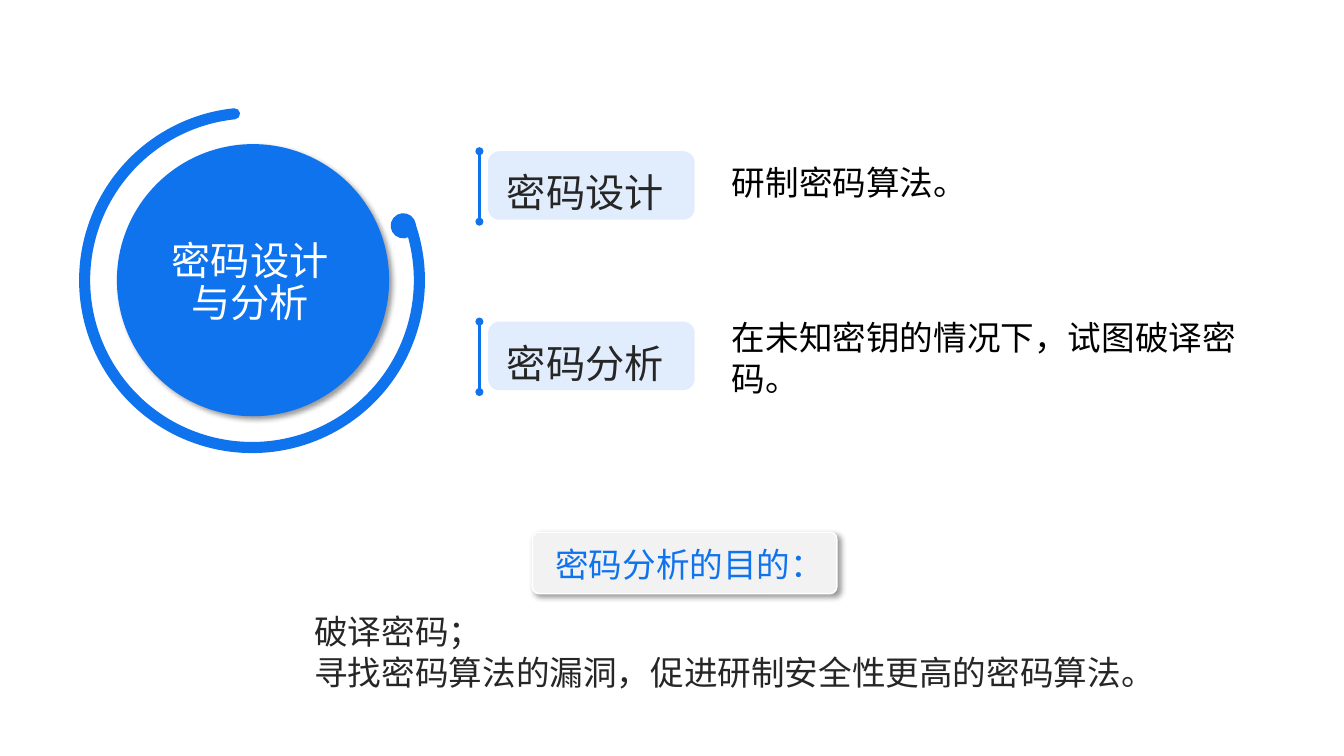
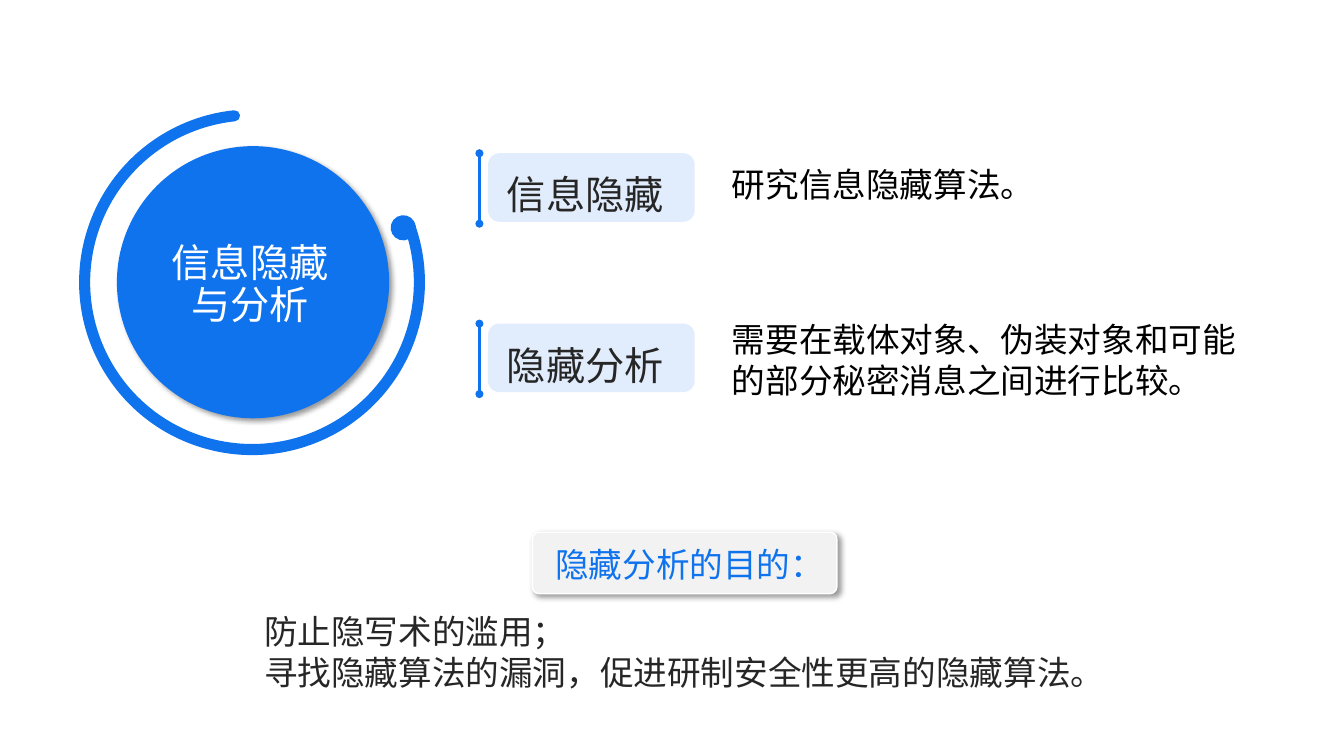
from math import cos, radians, sin, tan

from lxml.etree import SubElement
from pptx import Presentation
from pptx.dml.color import RGBColor
from pptx.enum.shapes import MSO_SHAPE as SHAPE
from pptx.enum.text import PP_ALIGN as ALIGN
from pptx.oxml.ns import qn
from pptx.util import Inches, Pt

COLORS = {
    "accent": "0F73EE",
    "panel": "F2F2F2",
    "white": "FFFFFF",
    "ink": "262626",
    "black": "000000",
}
SANS = "Noto Sans CJK SC"
SERIF = "Times New Roman"
ROW_PITCH = 1.69

TOPICS = [
    {
        "title": "密码设计与分析",
        "top": 1.43,
        "rows": [
            ("密码设计", [("研制密码算法。", SERIF)]),
            ("密码分析", [("在未知密钥的情况下，试图破译密码", SANS), ("。", SERIF)]),
        ],
        "purpose": "密码分析的目的：",
        "goals": ["破译密码；", "寻找密码算法的漏洞，促进研制安全性更高的密码算法。"],
        "goals_width": 9.46,
        "goals_level": 1,
    },
    {
        "title": "信息隐藏与分析",
        "top": 1.45,
        "rows": [
            ("信息隐藏", [("研究信息隐藏算法。", SANS)]),
            ("隐藏分析", [("需要在载体对象、伪装对象和可能的部分秘密消息之间进行比较。", SANS)]),
        ],
        "purpose": "隐藏分析的目的：",
        "goals": ["防止隐写术的滥用；", "寻找隐藏算法的漏洞，促进研制安全性更高的隐藏算法。"],
        "goals_width": 8.62,
        "goals_level": 0,
    },
]


def rgb(name):
    return RGBColor.from_string(COLORS[name])


def paint(shape, fill, line=None, alpha=None):
    shape.shadow.inherit = False
    shape.fill.solid()
    shape.fill.fore_color.rgb = rgb(fill)
    if alpha:
        color = shape.fill._xPr.find(qn("a:solidFill"))[0]
        SubElement(color, qn("a:alpha"), val=str(alpha * 1000))
    if line:
        shape.line.color.rgb = rgb(line)
        shape.line.width = Pt(1)
    else:
        shape.line.fill.background()


def add_block(slide, preset, left, top, width, height, fill, **style):
    block = slide.shapes.add_shape(
        preset, Inches(left), Inches(top), Inches(width), Inches(height))
    paint(block, fill, **style)
    return block


def cast_shadow(shape):
    effects = shape._element.spPr.find(qn("a:effectLst"))
    shadow = SubElement(
        effects, qn("a:outerShdw"), blurRad=str(Pt(4)), dist=str(Pt(3)),
        dir=str(45 * 60000), algn="tl", rotWithShape="0")
    color = SubElement(shadow, qn("a:srgbClr"), val=COLORS["black"])
    SubElement(color, qn("a:alpha"), val="40000")


def add_text(slide, left, top, width, height, paragraphs, size, color,
             leading, align=ALIGN.LEFT, level=0):
    box = slide.shapes.add_textbox(
        Inches(left), Inches(top), Inches(width), Inches(height))
    frame = box.text_frame
    frame.word_wrap = True
    for index, pieces in enumerate(paragraphs):
        paragraph = frame.add_paragraph() if index else frame.paragraphs[0]
        paragraph.alignment = align
        paragraph.level = level
        paragraph.line_spacing = Pt(leading)
        for text, font in pieces:
            run = paragraph.add_run()
            run.text = text
            run.font.name = font
            run.font.size = Pt(size)
            run.font.color.rgb = rgb(color)
            SubElement(run.font._element, qn("a:ea"), typeface=SANS)


def polar(x, y, radius, angle):
    return x + radius * cos(radians(angle)), y + radius * sin(radians(angle))


def arc(x, y, radius, angles):
    curve = []
    for start, end in zip(angles, angles[1:]):
        reach = radius * 4 / 3 * tan(radians(end - start) / 4)
        first, last = polar(x, y, radius, start), polar(x, y, radius, end)
        curve += [polar(*first, reach, start + 90), polar(*last, reach, end - 90), last]
    return curve


def add_curve(slide, start, curve):
    points = [(Inches(x), Inches(y)) for x, y in [start] + curve]
    builder = slide.shapes.build_freeform(*points[0])
    builder.add_line_segments(points[1:], close=True)
    shape = builder.convert_to_shape()
    outline = shape._element.spPr.find(".//" + qn("a:path"))
    steps = outline.findall(qn("a:lnTo"))
    close = outline.find(qn("a:close"))
    for index in range(0, len(curve), 3):
        bezier = SubElement(outline, qn("a:cubicBezTo"))
        for step in steps[index:index + 3]:
            bezier.append(step[0])
            outline.remove(step)
    outline.append(close)
    paint(shape, "accent")


def add_open_ring(slide, x, y, radius, width, angles):
    half = width / 2
    head, tail = angles[0], angles[-1]
    curve = (arc(x, y, radius + half, angles)
             + arc(*polar(x, y, radius, tail), half, [tail, tail + 90, tail + 180])
             + arc(x, y, radius - half, angles[::-1])
             + arc(*polar(x, y, radius, head), half, [head + 180, head + 270, head + 360]))
    add_curve(slide, polar(x, y, radius + half, head), curve)


def add_topic_circle(slide, title, top):
    disc = add_block(slide, SHAPE.OVAL, 1.16, top, 2.7, 2.7, "accent")
    cast_shadow(disc)
    add_text(slide, 1.44, top + 0.92, 2.08, 1.71, [[(title, SANS)]],
             28, "white", 30, ALIGN.CENTER)
    add_open_ring(slide, 2.5, top + 1.35, 1.66, 0.11, [-20, 20, 106, 196, 253, 264])
    knob = 4, top + 0.81, 0.125
    add_curve(slide, polar(*knob, 151), arc(*knob, [151, 241, 331, 421, 511]))


def add_pin(slide, x, top, height):
    upper, lower = (x, top, 0.04), (x, top + height, 0.04)
    curve = (arc(*upper, [-90, 0, 70])
             + [polar(*lower, -70)] * 3
             + arc(*lower, [-70, 0, 90, 180, 250])
             + [polar(*upper, 110)] * 3
             + arc(*upper, [110, 180, 270]))
    add_curve(slide, polar(*upper, -90), curve)


def add_row(slide, top, label, description, description_top):
    add_block(slide, SHAPE.ROUNDED_RECTANGLE, 4.84, top, 2.05, 0.68, "accent", alpha=12)
    add_pin(slide, 4.755, top, 0.7)
    add_text(slide, 4.93, top - 0.09, 1.8, 0.75, [[(label, SANS)]], 28, "ink", 49)
    add_text(slide, 6.66, description_top, 5.88, 0.91, [description],
             24, "black", 29.3, level=1)


def add_purpose(slide, caption, goals, goals_width, goals_level):
    plate = add_block(slide, SHAPE.ROUNDED_RECTANGLE, 5.28, 5.28, 3.02, 0.61,
                      "panel", line="white")
    plate.adjustments[0] = 0.11
    cast_shadow(plate)
    add_text(slide, 5.41, 5.34, 2.96, 0.5, [[(caption, SANS)]], 24, "accent", 29.3)
    add_text(slide, 2.52, 6, goals_width, 0.91, [[(goal, SANS)] for goal in goals],
             24, "ink", 29.3, level=goals_level)


def build_topic(slide, topic):
    top = topic["top"]
    add_topic_circle(slide, topic["title"], top)
    for index, (label, description) in enumerate(topic["rows"]):
        add_row(slide, top + 0.07 + index * ROW_PITCH, label, description,
                top + 0.12 + index * 1.54)
    add_purpose(slide, topic["purpose"], topic["goals"],
                topic["goals_width"], topic["goals_level"])


def main():
    deck = Presentation()
    deck.slide_width, deck.slide_height = Inches(13.33), Inches(7.5)
    for topic in TOPICS:
        build_topic(deck.slides.add_slide(deck.slide_layouts[6]), topic)
    deck.save("out.pptx")


if __name__ == "__main__":
    main()
